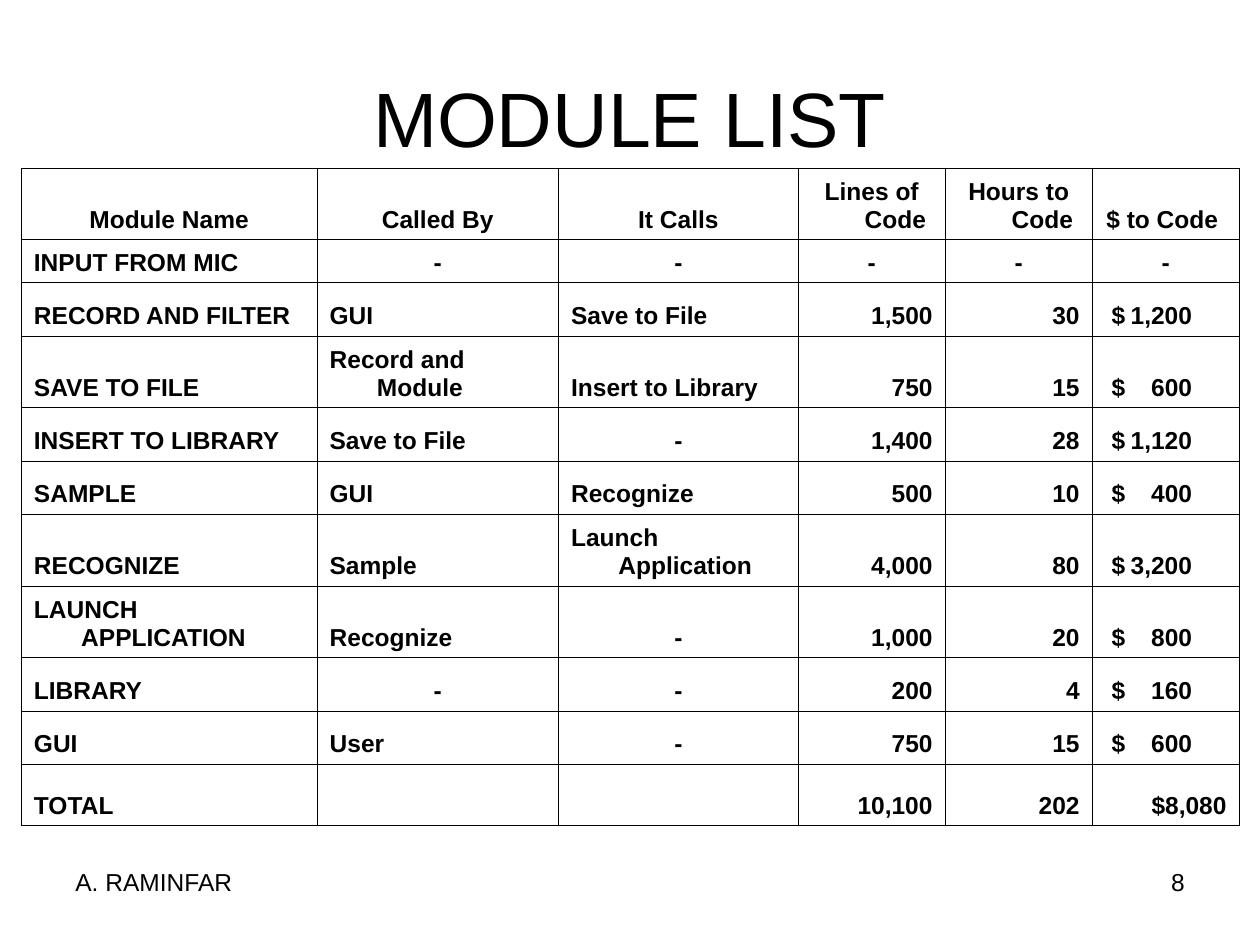
"""Build the MODULE LIST slide: a title, a module table and a footer."""
from lxml.etree import SubElement
from pptx import Presentation
from pptx.dml.color import RGBColor
from pptx.enum.text import MSO_ANCHOR, PP_ALIGN
from pptx.oxml import parse_xml
from pptx.oxml.ns import nsdecls, qn
from pptx.util import Pt

LEFT, CENTER, RIGHT = PP_ALIGN.LEFT, PP_ALIGN.CENTER, PP_ALIGN.RIGHT
BLACK = "000000"


def write(tf, text, size=14, bold=False, align=LEFT, color=BLACK):
    p = tf.paragraphs[0]
    p.alignment = align
    r = p.add_run()
    r.text = text
    r.font.name = "Arial"
    r.font.size = Pt(size)
    r.font.bold = bold
    r.font.color.rgb = RGBColor.from_string(color)
    return p


def set_borders(cell, **widths):
    tcPr = cell._tc.get_or_add_tcPr()
    for i, side in enumerate("LRTB"):
        tcPr.insert(i, parse_xml(
            f'<a:ln{side} {nsdecls("a")} w="{Pt(widths.get(side, 0.45))}">'
            f'<a:solidFill><a:srgbClr val="{BLACK}"/></a:solidFill></a:ln{side}>'))


prs = Presentation()
prs.slide_width, prs.slide_height = Pt(720), Pt(540)
s = prs.slides.add_slide(prs.slide_layouts[5])

title = s.shapes.title
title.left, title.top, title.width, title.height = Pt(36), Pt(21.6), Pt(648), Pt(90)
title.text_frame.vertical_anchor = MSO_ANCHOR.MIDDLE
write(title.text_frame, "MODULE LIST", size=44, align=CENTER)

rows = [
    ("Module Name", "Called By", "It Calls", "Lines of Code", "Hours to Code", "$ to Code "),
    ("INPUT FROM MIC", "-", "-", "-", "-", "-"),
    ("RECORD AND FILTER", "GUI", "Save to File", "1,500", "30", "$\t1,200"),
    ("SAVE TO FILE", "Record and Module", "Insert to Library", "750", "15", "$\t600"),
    ("INSERT TO LIBRARY", "Save to File", "-", "1,400", "28", "$\t1,120"),
    ("SAMPLE", "GUI", "Recognize", "500", "10", "$\t400"),
    ("RECOGNIZE", "Sample", "Launch Application", "4,000", "80", "$\t3,200"),
    ("LAUNCH APPLICATION", "Recognize", "-", "1,000", "20", "$\t800"),
    ("LIBRARY", "-", "-", "200", "4", "$\t160"),
    ("GUI", "User", "-", "750", "15", "$\t600"),
    ("TOTAL", "", "", "10,100", "202", "$8,080"),
]
col_widths = [169, 138, 137, 84, 84, 84]
row_heights = [41, 24.5, 30.5, 41, 30.5, 30.5, 41, 41, 30.5, 30.5, 35]
total = len(rows) - 1

table = s.shapes.add_table(len(rows), len(col_widths), Pt(12.2), Pt(96),
                           Pt(sum(col_widths)), Pt(sum(row_heights))).table
table.first_row = table.horz_banding = False
for col, width in zip(table.columns, col_widths):
    col.width = Pt(width)
for row, height in zip(table.rows, row_heights):
    row.height = Pt(height)

for i, values in enumerate(rows):
    for j, text in enumerate(values):
        cell = table.cell(i, j)
        cell.fill.background()
        cell.vertical_anchor = MSO_ANCHOR.BOTTOM
        if j and i == total - 1:
            set_borders(cell, B=0.96)
        elif j and i == total:
            set_borders(cell, T=0.96)
        else:
            set_borders(cell)
        if not text:
            continue
        if i == 0 or text == "-":
            align = CENTER
        elif j in (3, 4) or (j == 5 and i == total):
            align = RIGHT
        else:
            align = LEFT
        pPr = write(cell.text_frame, text, bold=True, align=align)._p.get_or_add_pPr()
        if "\t" in text:
            cell.margin_left = Pt(11.1)
            tabs = SubElement(pPr, qn("a:tabLst"))
            SubElement(tabs, qn("a:tab"), pos=str(Pt(46)), algn="r")
        else:
            pPr.set("marL", str(Pt(27)))
            pPr.set("indent", str(-Pt(27)))

for x, text, align in [(516, "8", RIGHT), (36, "A. RAMINFAR", LEFT)]:
    tf = s.shapes.add_textbox(Pt(x), Pt(492), Pt(168), Pt(37.5)).text_frame
    tf.word_wrap = True
    write(tf, text, align=align)

prs.save("out.pptx")
